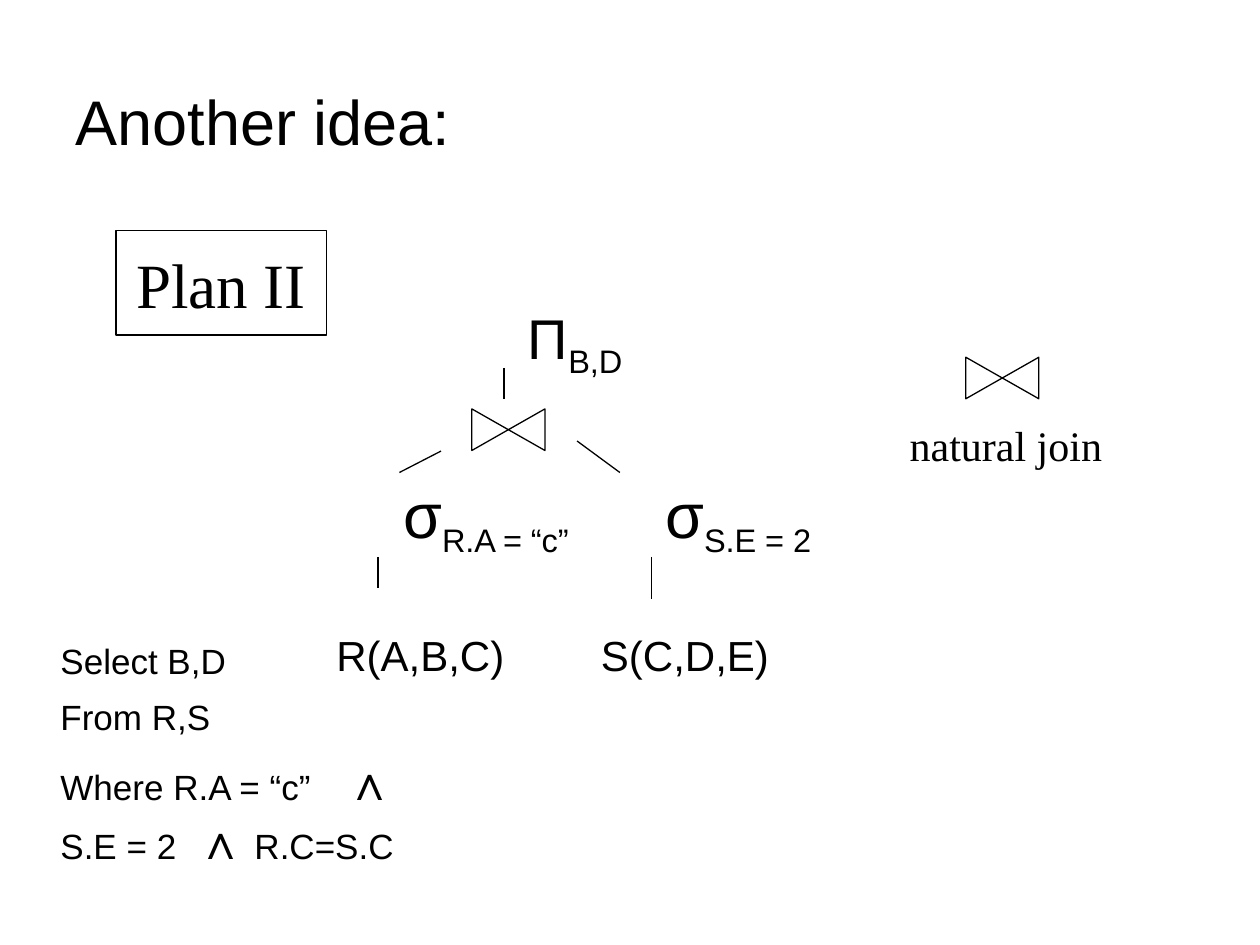
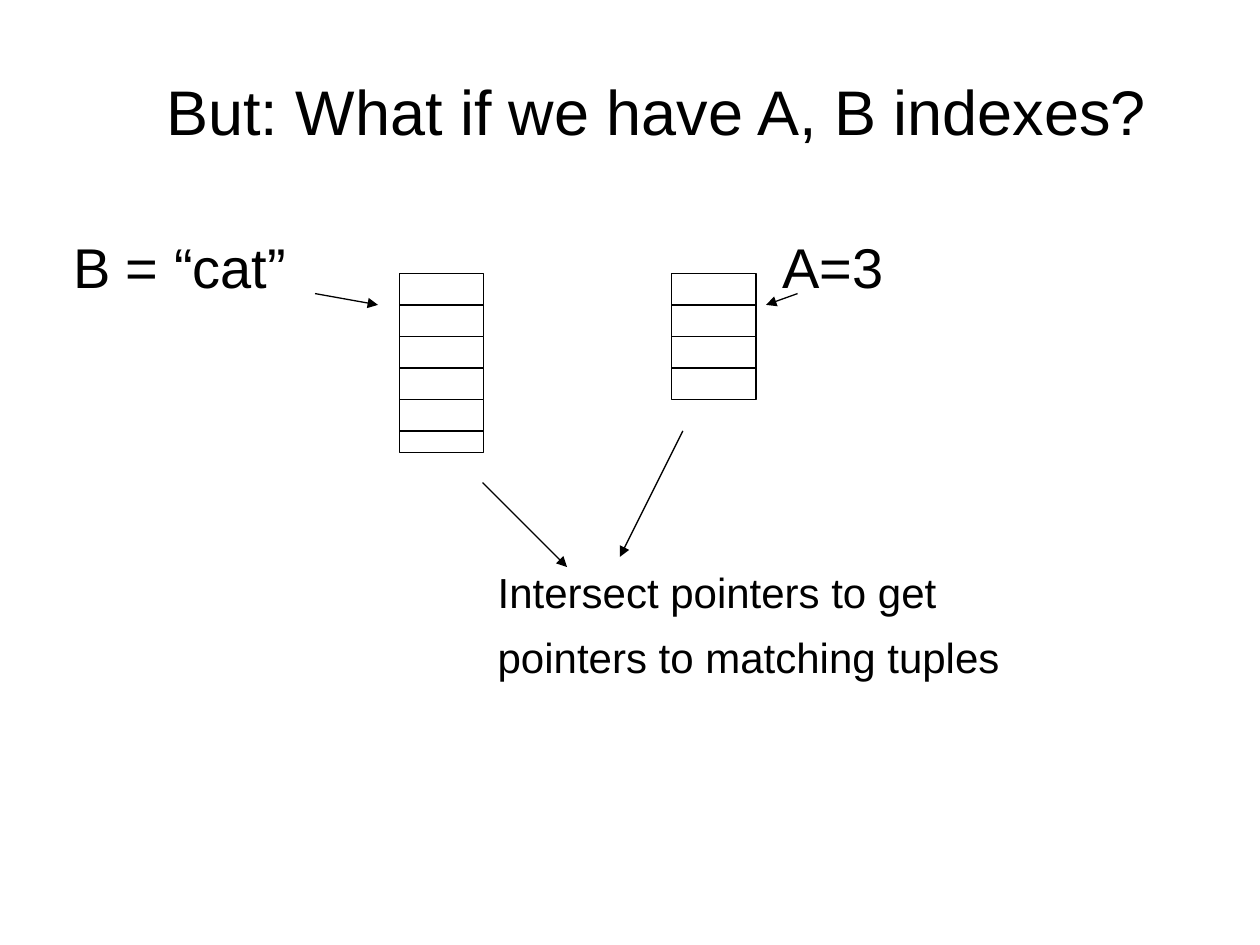
import pptx
import pptx.util
import pptx.dml.color
import pptx.enum.shapes
import pptx.enum.text
import pptx.oxml.ns
from lxml import etree

Inches = pptx.util.Inches
Pt = pptx.util.Pt
Shape = pptx.enum.shapes.MSO_SHAPE
Align = pptx.enum.text.PP_ALIGN
Anchor = pptx.enum.text.MSO_ANCHOR
qn = pptx.oxml.ns.qn

colours = {name: pptx.dml.color.RGBColor.from_string(value)
           for name, value in {"ink": "000000", "paper": "FFFFFF"}.items()}
ascent = 0.905
title_format = {"vertical_anchor": Anchor.MIDDLE, "word_wrap": True,
                "margin_left": Inches(0.1), "margin_right": Inches(0.1),
                "margin_top": Inches(0.05), "margin_bottom": Inches(0.05)}
label_format = {"vertical_anchor": Anchor.TOP, "word_wrap": True,
                "margin_left": 0, "margin_right": 0,
                "margin_top": 0, "margin_bottom": 0}


def write(para, spans, font="Arial", align=Align.LEFT):
    para.alignment = align
    for text, size, *style in spans:
        span = para.add_run()
        span.text = text
        formats = {"name": font, "size": Pt(size), "bold": "bold" in style}
        for key, value in formats.items():
            setattr(span.font, key, value)
        span.font.color.rgb = colours["ink"]
        if "sub" in style:
            span.font._element.set("baseline", "-25000")


def outline(page, kind, left, top, width, height):
    shape = page.shapes.add_shape(kind, Inches(left), Inches(top), Inches(width), Inches(height))
    shape.shadow.inherit = False
    shape.fill.solid()
    shape.fill.fore_color.rgb = colours["paper"]
    shape.line.color.rgb = colours["ink"]
    shape.line.width = Pt(0.75)
    return shape


deck = pptx.Presentation()
deck.slide_width, deck.slide_height = Inches(10), Inches(7.5)

pages = []
for heading, left, top, width in [("Another idea:", 0.5, 0.33, 8.5),
                                  ("But: What if we have A, B indexes?", 1.22, 0.25, 8.2)]:
    page = deck.slides.add_slide(deck.slide_layouts[5])
    title = page.shapes.title
    title.left, title.top, title.width, title.height = map(Inches, (left, top, width, 1.25))
    for key, value in title_format.items():
        setattr(title.text_frame, key, value)
    write(title.text_frame.paragraphs[0], [(heading, 36)])
    pages.append(page)
plan_page, index_page = pages

plan_box = outline(plan_page, Shape.RECTANGLE, 0.92, 1.83, 1.67, 0.83)
plan_box.text_frame.vertical_anchor = Anchor.MIDDLE
write(plan_box.text_frame.paragraphs[0], [("Plan II", 36)], "Times New Roman", Align.CENTER)
for left, top in [(3.87, 3.12), (7.79, 2.71)]:
    outline(plan_page, Shape.FLOWCHART_COLLATE, left, top, 0.33, 0.58).rotation = 270

cell_height = 0.25
for left, heights in [(3.17, [cell_height] * 5 + [0.17]), (5.33, [cell_height] * 4)]:
    for row, height in enumerate(heights):
        outline(index_page, Shape.RECTANGLE, left, 2.17 + row * cell_height, 0.67, height)

query = [[("Select B,D", 20)],
         [("From R,S", 20)],
         [("Where R.A = “c”\t", 20), ("∧", 28, "bold")],
         [("S.E = 2\t", 20), ("∧", 28, "bold"), ("\tR.C=S.C", 20)]]
intersection = [[("Intersect pointers to get", 24)], [("pointers to matching tuples", 24)]]

labels = [
    (plan_page, 4.19, 2.81, 1.5, "Arial", [[("Π", 32), ("B,D", 32, "sub")]], [0], []),
    (plan_page, 3.2, 4.23, 1.9, "Arial", [[("σ", 36), ("R.A = “c”", 32, "sub")]], [0], []),
    (plan_page, 5.28, 4.23, 1.9, "Arial", [[("σ", 36), ("S.E = 2", 32, "sub")]], [0], []),
    (plan_page, 2.67, 5.3, 1.8, "Arial", [[("R(A,B,C)", 24)]], [0], []),
    (plan_page, 4.77, 5.3, 1.8, "Arial", [[("S(C,D,E)", 24)]], [0], []),
    (plan_page, 7.22, 3.63, 1.8, "Times New Roman", [[("natural join", 24)]], [0], []),
    (plan_page, 0.48, 5.33, 2.84, "Arial", query, [0, 8, 8, 0], [1.08, 1.54, 2.26]),
    (index_page, 0.58, 2.25, 2.2, "Arial", [[("B = “cat”", 32)]], [0], []),
    (index_page, 6.21, 2.25, 1.2, "Arial", [[("A=3", 32)]], [0], []),
    (index_page, 3.95, 4.8, 4.4, "Arial", intersection, [0, 8], []),
]
for page, left, baseline, width, font, lines, gaps, tabs in labels:
    size = lines[0][0][1]
    top = baseline - ascent * size / 72
    height = len(lines) * size * 1.25 / 72
    box = page.shapes.add_textbox(Inches(left), Inches(top), Inches(width), Inches(height))
    for key, value in label_format.items():
        setattr(box.text_frame, key, value)
    for number, (spans, gap) in enumerate(zip(lines, gaps)):
        para = box.text_frame.add_paragraph() if number else box.text_frame.paragraphs[0]
        if gap:
            para.space_before = Pt(gap)
        if tabs:
            stops = etree.SubElement(para._p.get_or_add_pPr(), qn("a:tabLst"))
            for stop in tabs:
                etree.SubElement(stops, qn("a:tab"), pos=str(Inches(stop)), algn="l")
        write(para, spans, font)

tree_edges = [(4, 2.92, 4, 3.17), (3.5, 3.58, 3.17, 3.75), (4.58, 3.5, 4.92, 3.75),
              (3, 4.42, 3, 4.67), (5.17, 4.42, 5.17, 4.75)]
pointers = [(2.5, 2.33, 3, 2.42), (6.33, 2.33, 6.08, 2.42),
            (3.83, 3.83, 4.5, 4.5), (5.42, 3.42, 4.92, 4.42)]
for page, ends, arrow in [(plan_page, tree_edges, False), (index_page, pointers, True)]:
    for points in ends:
        line = page.shapes.add_connector(pptx.enum.shapes.MSO_CONNECTOR.STRAIGHT,
                                         *map(Inches, points))
        line.line.color.rgb = colours["ink"]
        line.line.width = Pt(0.75)
        if arrow:
            etree.SubElement(line.line._get_or_add_ln(), qn("a:tailEnd"), type="triangle")
        etree.SubElement(line._element.spPr, qn("a:effectLst"))

deck.save("out.pptx")
